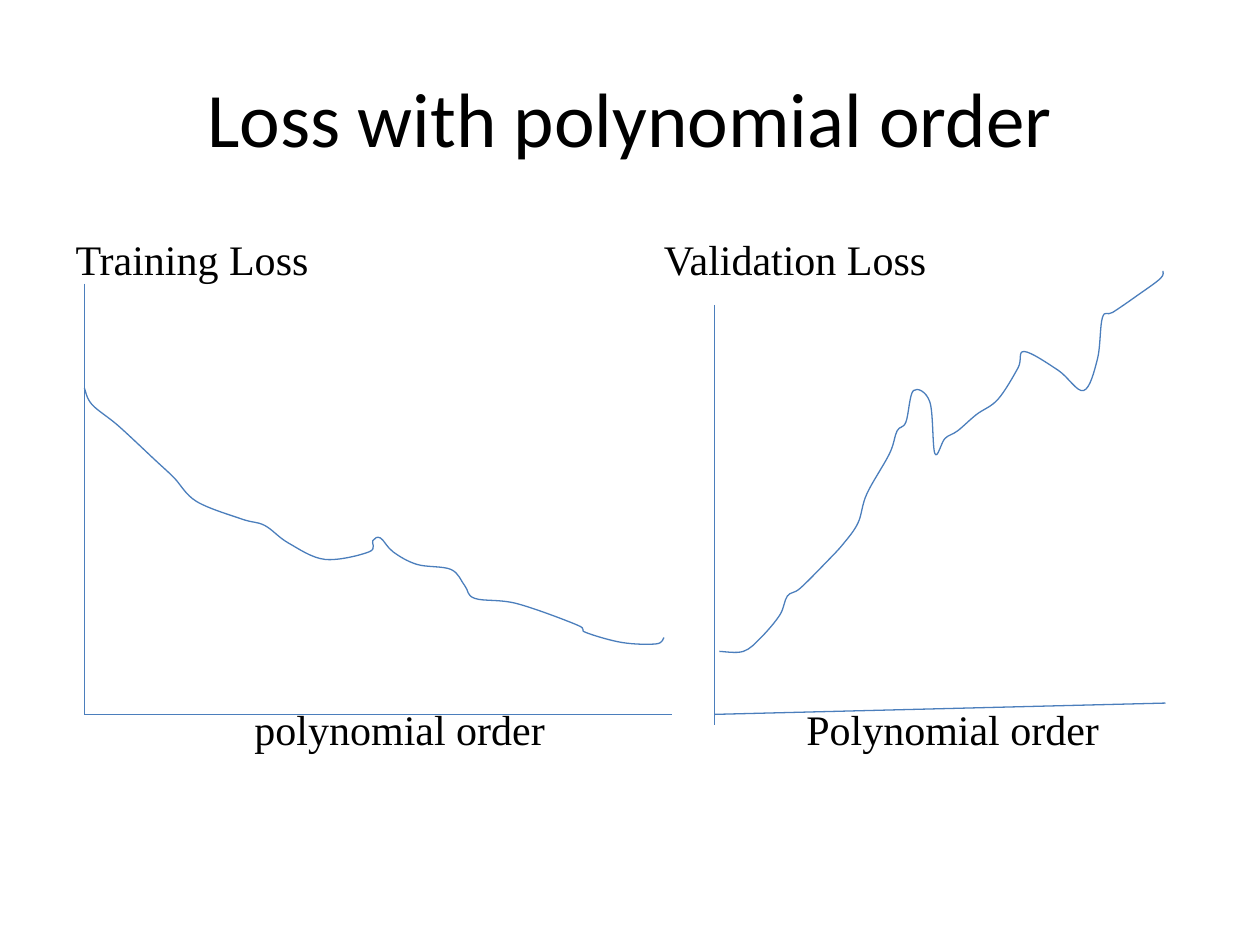
from pptx import Presentation
from pptx.dml.color import RGBColor
from pptx.enum.shapes import MSO_CONNECTOR
from pptx.enum.text import MSO_ANCHOR, PP_ALIGN
from pptx.oxml.ns import qn
from pptx.oxml.xmlchemy import OxmlElement
from pptx.util import Inches, Pt

BLACK = RGBColor(0x00, 0x00, 0x00)
BLUE = RGBColor(0x4B, 0x7E, 0xBC)
WHITE = RGBColor(0xFF, 0xFF, 0xFF)

TRAINING_CURVE = [
    (0.67, 3.08), (0.73, 3.21), (0.94, 3.38), (1.23, 3.65), (1.38, 3.79),
    (1.56, 3.98), (1.92, 4.12), (2.1, 4.17), (2.29, 4.31), (2.58, 4.44),
    (2.93, 4.38), (2.96, 4.29), (3.02, 4.27), (3.12, 4.38), (3.31, 4.48),
    (3.58, 4.52), (3.69, 4.65), (3.77, 4.75), (4.1, 4.79), (4.58, 4.96),
    (4.65, 5.02), (4.94, 5.1), (5.21, 5.11), (5.27, 5.06),
]
VALIDATION_CURVE = [
    (5.71, 5.17), (5.9, 5.17), (6.04, 5.06), (6.19, 4.88), (6.25, 4.73),
    (6.35, 4.67), (6.56, 4.46), (6.69, 4.32), (6.81, 4.15), (6.88, 3.92),
    (7.06, 3.6), (7.12, 3.42), (7.19, 3.35), (7.25, 3.1), (7.38, 3.19),
    (7.42, 3.6), (7.5, 3.48), (7.6, 3.42), (7.75, 3.29), (7.92, 3.17),
    (8.08, 2.92), (8.13, 2.79), (8.4, 2.94), (8.6, 3.1), (8.71, 2.85),
    (8.75, 2.52), (8.83, 2.48), (9.02, 2.35), (9.21, 2.21), (9.23, 2.15),
]


def style_line(line):
    line.color.rgb = BLUE
    line.width = Pt(0.75)


def add_title(slide, text, left, top, width, height):
    title = slide.shapes.title
    title.left, title.top = Inches(left), Inches(top)
    title.width, title.height = Inches(width), Inches(height)
    title.text_frame.text = text
    title.text_frame.vertical_anchor = MSO_ANCHOR.MIDDLE
    heading = title.text_frame.paragraphs[0]
    heading.alignment = PP_ALIGN.CENTER
    heading.font.name = "Calibri"
    heading.font.size = Pt(44)
    heading.font.color.rgb = BLACK


def add_label(slide, text, left, top):
    label = slide.shapes.add_textbox(Inches(left), Inches(top), Inches(2.8), Inches(0.4))
    frame = label.text_frame
    frame.margin_left = frame.margin_right = frame.margin_top = frame.margin_bottom = 0
    frame.word_wrap = True
    frame.text = text
    font = frame.paragraphs[0].font
    font.name = "Times New Roman"
    font.size = Pt(24)
    font.color.rgb = BLACK


def add_axis(slide, *ends):
    axis = slide.shapes.add_connector(MSO_CONNECTOR.STRAIGHT, *map(Inches, ends))
    style_line(axis.line)
    axis._element.spPr.append(OxmlElement("a:effectLst"))


def smooth_controls(curve):
    padded = [curve[0], *curve, curve[-1]]
    points = []
    for before, start, end, after in zip(padded, padded[1:], padded[2:], padded[3:]):
        points.append(tuple(s + (e - b) / 6 for b, s, e in zip(before, start, end)))
        points.append(tuple(e - (a - s) / 6 for s, e, a in zip(start, end, after)))
        points.append(end)
    return points


def add_curve(slide, curve, left, top):
    start_x, start_y = curve[0]

    def place(x, y):
        return Inches(left + x - start_x), Inches(top + y - start_y)

    builder = slide.shapes.build_freeform(*place(start_x, start_y))
    builder.add_line_segments([place(*point) for point in smooth_controls(curve)], close=False)
    loss = builder.convert_to_shape()
    loss.fill.background()
    loss.shadow.inherit = False
    style_line(loss.line)

    steps = list(loss._element.iter(qn("a:lnTo")))
    for first, second, third in zip(steps[::3], steps[1::3], steps[2::3]):
        first.tag = qn("a:cubicBezTo")
        for merged in (second, third):
            first.append(merged[0])
            merged.getparent().remove(merged)


def add_loss_plot(slide, left, top, width, height, heading, heading_dx, axis_name,
                  axis_name_dx, curve, curve_dx, curve_dy, overhang=0, rise=0):
    bottom = top + height
    add_label(slide, heading, left + heading_dx, 1.85)
    add_label(slide, axis_name, left + axis_name_dx, bottom - 0.09)
    add_axis(slide, left, top, left, bottom + overhang)
    add_curve(slide, curve, left + curve_dx, top + curve_dy)
    add_axis(slide, left, bottom, left + width, bottom - rise)


def main():
    prs = Presentation()
    prs.slide_width, prs.slide_height = Inches(10), Inches(7.5)
    slide = prs.slides.add_slide(prs.slide_layouts[5])
    slide.background.fill.solid()
    slide.background.fill.fore_color.rgb = WHITE
    add_title(slide, "Loss with polynomial order", 0.5, 0.3, 9, 1.25)
    add_loss_plot(slide, 0.67, 2.25, 4.66, 3.42, "Training Loss", -0.07,
                  "polynomial order", 1.35, TRAINING_CURVE, 0, 0.83)
    add_loss_plot(slide, 5.67, 2.42, 3.58, 3.25, "Validation Loss", -0.4,
                  "Polynomial order", 0.73, VALIDATION_CURVE, 0.04, 2.75,
                  overhang=0.08, rise=0.09)
    prs.save("out.pptx")


if __name__ == "__main__":
    main()
